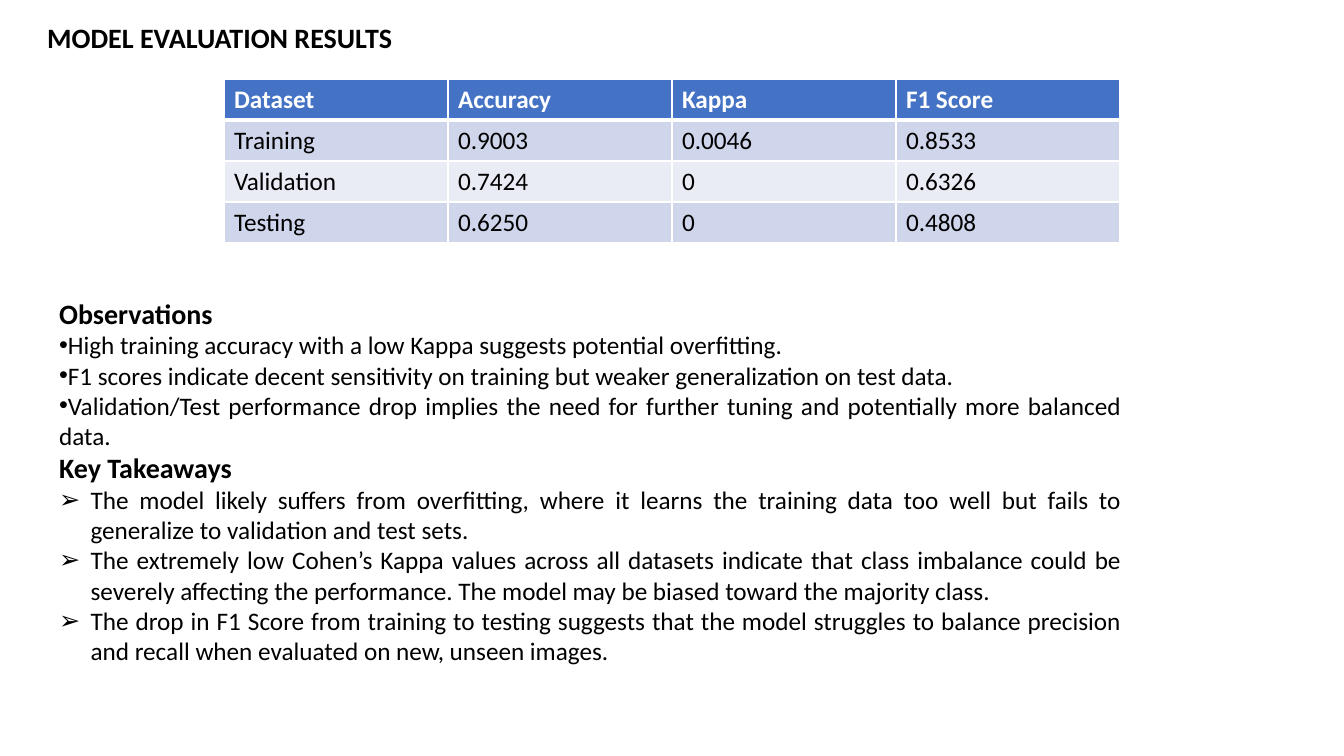
"""Build the model evaluation results slide."""
from lxml import etree
from pptx import Presentation
from pptx.dml.color import RGBColor
from pptx.enum.text import MSO_ANCHOR, MSO_AUTO_SIZE, PP_ALIGN
from pptx.oxml.ns import qn
from pptx.util import Emu, Pt

PX = 914400 / 100.8
FONT = "Calibri"
BLACK = RGBColor(0x00, 0x00, 0x00)
WHITE = RGBColor(0xFF, 0xFF, 0xFF)
HEADER_BLUE = RGBColor(0x44, 0x72, 0xC4)
BAND_DARK = RGBColor(0xCF, 0xD5, 0xEA)
BAND_LIGHT = RGBColor(0xE9, 0xEB, 0xF5)


def px(*lengths):
    return [Emu(round(length * PX)) for length in lengths]


def write(paragraph, text, size, bold, color=BLACK):
    run = paragraph.add_run()
    run.text = text
    run.font.name = FONT
    run.font.size = Pt(size)
    run.font.bold = bold
    run.font.color.rgb = color


prs = Presentation()
prs.slide_width, prs.slide_height = px(1344, 756)
slide = prs.slides.add_slide(prs.slide_layouts[1])
title, body = slide.placeholders

for holder, box in ((title, (37, 15, 372, 78)), (body, (49, 291, 1083, 414))):
    holder.left, holder.top, holder.width, holder.height = px(*box)
    holder.text_frame.vertical_anchor = MSO_ANCHOR.TOP
    holder.text_frame.auto_size = MSO_AUTO_SIZE.NONE
    holder.text_frame.word_wrap = True

heading = title.text_frame.paragraphs[0]
heading.alignment = PP_ALIGN.LEFT
write(heading, "MODEL EVALUATION RESULTS", 20, True)

scores = [
    ("Dataset", "Accuracy", "Kappa", "F1 Score"),
    ("Training", "0.9003", "0.0046", "0.8533"),
    ("Validation", "0.7424", "0", "0.6326"),
    ("Testing", "0.6250", "0", "0.4808"),
]
table = slide.shapes.add_table(4, 4, *px(224, 79, 896, 164)).table
for row in table.rows:
    row.height = px(41)[0]
for r, row in enumerate(scores):
    for c, text in enumerate(row):
        cell = table.cell(r, c)
        header = r == 0
        write(cell.text_frame.paragraphs[0], text, 18, header, WHITE if header else BLACK)
        for side in ("lnL", "lnR", "lnT", "lnB"):
            thick = (r, side) in ((0, "lnB"), (1, "lnT"))
            border = etree.SubElement(cell._tc.get_or_add_tcPr(), qn(f"a:{side}"),
                                      w=str(Pt(3 if thick else 1)))
            line_fill = etree.SubElement(border, qn("a:solidFill"))
            etree.SubElement(line_fill, qn("a:srgbClr"), val=str(WHITE))
        cell.fill.solid()
        cell.fill.fore_color.rgb = HEADER_BLUE if header else BAND_DARK if r % 2 else BAND_LIGHT

sections = [
    ("Observations", "•", 0, [
        "High training accuracy with a low Kappa suggests potential overfitting.",
        "F1 scores indicate decent sensitivity on training but weaker generalization on test data.",
        "Validation/Test performance drop implies the need for further tuning and potentially "
        "more balanced data.",
    ]),
    ("Key Takeaways", "➢", 31.5, [
        "The model likely suffers from overfitting, where it learns the training data too well "
        "but fails to generalize to validation and test sets.",
        "The extremely low Cohen’s Kappa values across all datasets indicate that class imbalance "
        "could be severely affecting the performance. The model may be biased toward the "
        "majority class.",
        "The drop in F1 Score from training to testing suggests that the model struggles to "
        "balance precision and recall when evaluated on new, unseen images.",
    ]),
]
lines = []
for name, bullet, indent, points in sections:
    lines.append((name, None, 0))
    lines += [(point, bullet, indent) for point in points]

frame = body.text_frame
for i, (text, bullet, indent) in enumerate(lines):
    paragraph = frame.add_paragraph() if i else frame.paragraphs[0]
    paragraph.alignment = PP_ALIGN.JUSTIFY if i else PP_ALIGN.LEFT
    paragraph.space_before = Pt(0)
    write(paragraph, text, 18 if bullet else 20, not bullet)
    properties = paragraph._p.get_or_add_pPr()
    margin = px(indent)[0]
    properties.set("marL", str(margin))
    properties.set("indent", str(-margin))
    if bullet:
        etree.SubElement(properties, qn("a:buFont"), typeface="Arial")
        etree.SubElement(properties, qn("a:buChar"), char=bullet)
    else:
        etree.SubElement(properties, qn("a:buNone"))

prs.save("out.pptx")
